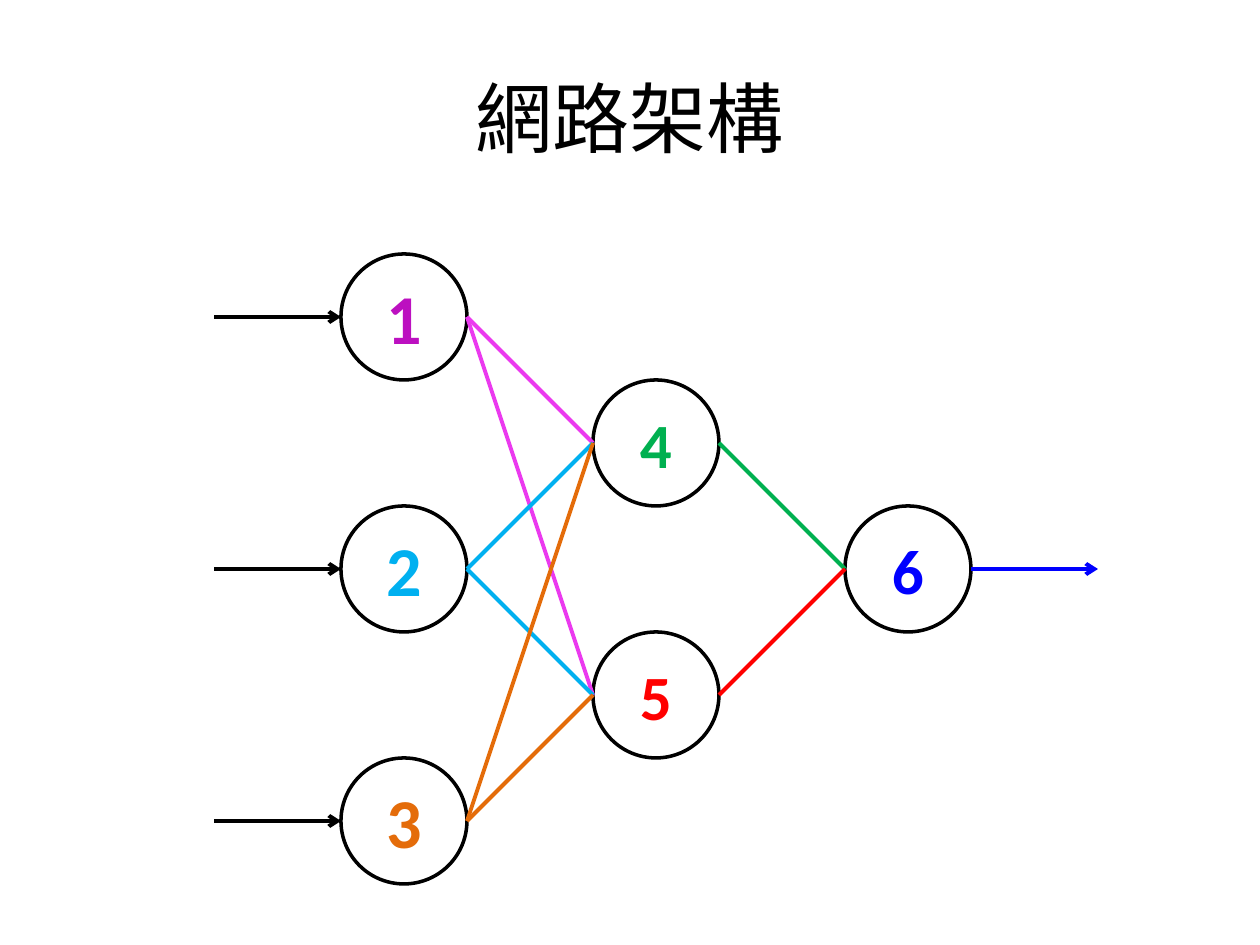
from lxml import etree
from pptx import Presentation, util as u
from pptx.dml.color import RGBColor
from pptx.enum import shapes, text
from pptx.oxml.ns import qn

TITLE = "網路架構"

# label: (column, row in half steps, text colour, type size)
NODES = {
    "1": (0, 0, "purple", "large"),
    "2": (0, 2, "sky", "large"),
    "3": (0, 4, "orange", "large"),
    "4": (1, 1, "green", "small"),
    "5": (1, 3, "red", "small"),
    "6": (2, 2, "blue", "small"),
}
LINKS = [
    ("1", "4", "pink"), ("1", "5", "pink"),
    ("2", "5", "sky"), ("2", "4", "sky"),
    ("3", "5", "orange"), ("3", "4", "orange"),
    ("4", "6", "green"), ("5", "6", "red"),
]
INPUTS = ["1", "2", "3"]
OUTPUT = "6"

THEME = {
    "font": "Calibri",
    "title": 44, "large": 40, "small": 36,
    "ring": 2, "link": 2.25,
    "black": "000000", "purple": "BC10C0", "pink": "EB39EF",
    "sky": "00B0F0", "orange": "E46C0A", "green": "00B050",
    "red": "FF0000", "blue": "0000FF",
}

SCALE = u.Inches(1) / 126
LEFT, TOP, SIZE = 341, 254, 126
COL, ROW = 2 * SIZE, SIZE
ARROW = 127


def px(n):
    return u.Emu(round(n * SCALE))


def color(name):
    return RGBColor.from_string(THEME[name])


def write(frame, words, size, hue, bold=None):
    frame.vertical_anchor = text.MSO_ANCHOR.MIDDLE
    para = frame.paragraphs[0]
    para.alignment = text.PP_ALIGN.CENTER
    run = para.add_run()
    run.text = words
    font = run.font
    font.name, font.size, font.bold = THEME["font"], u.Pt(THEME[size]), bold
    font.color.rgb = color(hue)


def side(label, right):
    """Middle of the left or right side of a node, in px."""
    col, row = NODES[label][:2]
    return LEFT + col * COL + right * SIZE, TOP + row * ROW + SIZE // 2


def draw_node(slide, label):
    col, row, hue, size = NODES[label]
    node = slide.shapes.add_shape(
        shapes.MSO_SHAPE.OVAL, px(LEFT + col * COL), px(TOP + row * ROW),
        px(SIZE), px(SIZE))
    node.shadow.inherit = False
    node.fill.background()
    node.line.color.rgb = color("black")
    node.line.width = u.Pt(THEME["ring"])
    write(node.text_frame, label, size, hue, True)


def draw_line(slide, start, end, hue, arrow=False):
    """Line between two points; an arrow has its tip at the start."""
    link = slide.shapes.add_connector(
        shapes.MSO_CONNECTOR.STRAIGHT, *map(px, start + end))
    link.line.color.rgb = color(hue)
    link.line.width = u.Pt(THEME["link"])
    if arrow:
        etree.SubElement(link.line._get_or_add_ln(), qn("a:headEnd"), type="arrow")
    etree.SubElement(link._element.spPr, qn("a:effectLst"))


def main():
    deck = Presentation()
    deck.slide_width, deck.slide_height = px(1260), px(945)
    slide = deck.slides.add_slide(deck.slide_layouts[5])

    title = slide.shapes.title
    title.left, title.top, title.width, title.height = map(px, (63, 38, 1134, 157))
    write(title.text_frame, TITLE, "title", "black")

    for label in NODES:
        draw_node(slide, label)
    for first, last, hue in LINKS:
        draw_line(slide, side(first, True), side(last, False), hue)

    x, y = side(OUTPUT, True)
    draw_line(slide, (x + ARROW, y), (x, y), "blue", True)
    for label in INPUTS:
        x, y = side(label, False)
        draw_line(slide, (x, y), (x - ARROW, y), "black", True)

    deck.save("out.pptx")


if __name__ == "__main__":
    main()
